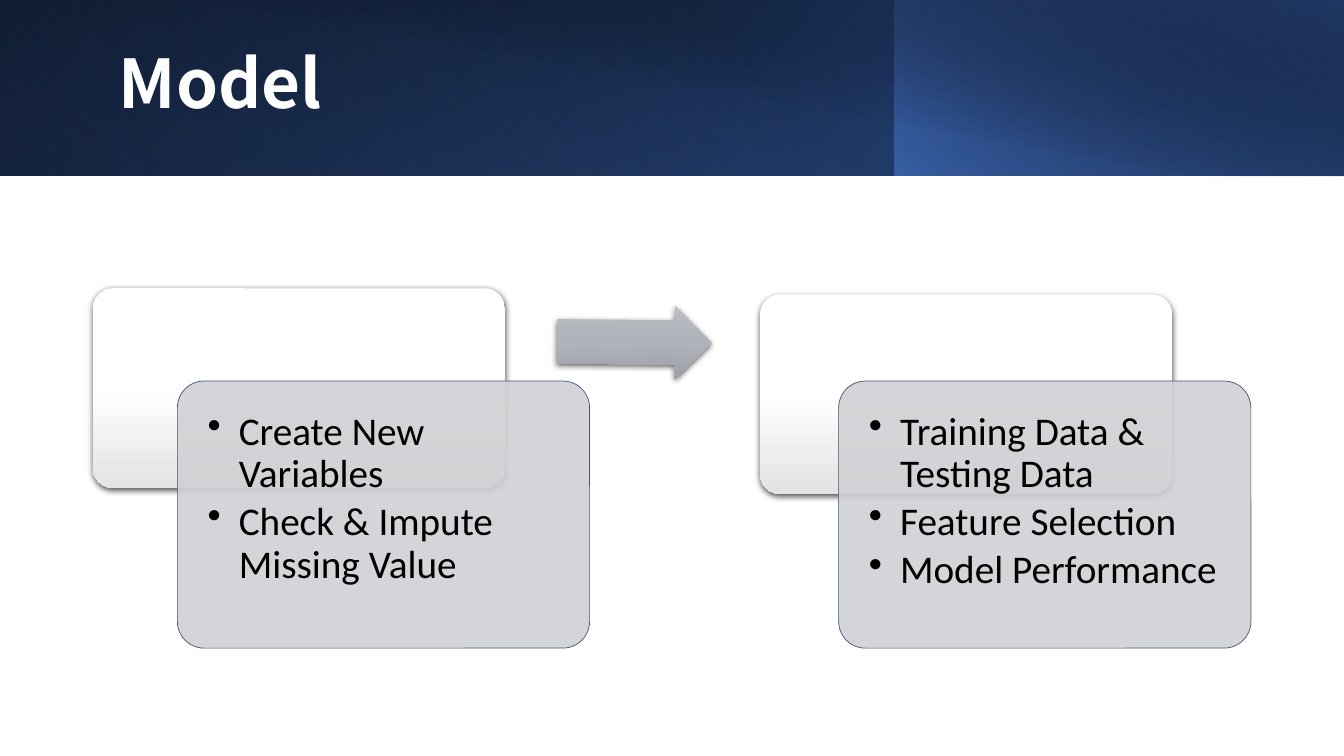
from pptx import Presentation
from pptx.dml.color import RGBColor
from pptx.enum.shapes import MSO_SHAPE
from pptx.enum.text import MSO_ANCHOR
from pptx.oxml import parse_xml
from pptx.oxml.ns import nsdecls, qn
from pptx.util import Inches, Pt

RECT, ROUND, ARROW = (MSO_SHAPE.RECTANGLE, MSO_SHAPE.ROUNDED_RECTANGLE,
                      MSO_SHAPE.RIGHT_ARROW)
TOP, MID = MSO_ANCHOR.TOP, MSO_ANCHOR.MIDDLE
COLS, ROWS = 40, 30
HEX = {"black": "000000", "white": "FFFFFF", "pale": "E3E3E3",
       "royal": "2F5597", "blue": "4472C4", "navy": "203864",
       "panel": "CFD1D4", "slate": "44546A",
       "light": "BABDC2", "mid": "B0B3BA", "dark": "9C9FA6"}
HEAD = {"name": "Noto Sans CJK TC", "size": Pt(48), "bold": True}
BODY = {"name": "Calibri", "size": Pt(28)}
GLOSS = [(0, "white", 100), (50, "white", 100), (100, "pale", 100)]
STEEL = [(0, "light", 100), (50, "mid", 100), (100, "dark", 100)]


def tint(name, alpha):
    return (f'<a:srgbClr {nsdecls("a")} val="{HEX[name]}">'
            f'<a:alpha val="{alpha * 1000}"/></a:srgbClr>')


class Deck:
    def __init__(self):
        self.prs = Presentation()
        self.prs.slide_width, self.prs.slide_height = Inches(13.33), Inches(7.5)
        self.slide = self.prs.slides.add_slide(self.prs.slide_layouts[6])

    def place(self, col, row, wide, high):
        """Turn grid columns and rows into slide lengths."""
        across, down = self.prs.slide_width / COLS, self.prs.slide_height / ROWS
        return (round(col * across), round(row * down),
                round(wide * across), round(high * down))

    def shape(self, kind, box, adjust=()):
        item = self.slide.shapes.add_shape(kind, *self.place(*box))
        item.shadow.inherit = False
        item.line.fill.background()
        for i, value in enumerate(adjust):
            item.adjustments[i] = value
        return item

    def blend(self, kind, box, stops, angle, adjust=(), flip=False, turn=0):
        """Add a shape filled with a gradient of (position, colour, alpha)."""
        item = self.shape(kind, box, adjust)
        item.rotation = turn
        props = item.element.spPr
        if flip:
            props.find(qn("a:xfrm")).set("flipH", "1")
        item.fill.gradient()
        marks = "".join(f'<a:gs pos="{pos * 1000}">{tint(name, alpha)}</a:gs>'
                        for pos, name, alpha in stops)
        props.replace(props.find(qn("a:gradFill")), parse_xml(
            f'<a:gradFill {nsdecls("a")} rotWithShape="1"><a:gsLst>{marks}'
            f'</a:gsLst><a:lin ang="{angle * 60000}" scaled="0"/></a:gradFill>'))
        return item

    def raised(self, kind, box, stops, adjust, turn=0):
        """Add a glossy shape with a soft shadow below it."""
        item = self.blend(kind, box, stops, 90, adjust, turn=turn)
        item.element.spPr.find(qn("a:effectLst")).append(parse_xml(
            f'<a:outerShdw {nsdecls("a")} blurRad="{Pt(4.5)}" dist="{Pt(1.5)}" '
            f'dir="5400000" algn="ctr" rotWithShape="0">{tint("black", 63)}'
            '</a:outerShdw>'))

    def panel(self, box):
        item = self.shape(ROUND, box, [0.1])
        item.fill.solid()
        item.fill.fore_color.rgb = RGBColor.from_string(HEX["panel"])
        fill = item.element.spPr.find(qn("a:solidFill"))
        fill.replace(fill[0], parse_xml(tint("panel", 90)))
        item.line.color.rgb = RGBColor.from_string(HEX["slate"])
        item.line.width = Pt(0.5)

    def text(self, box, lines, style, color, anchor=TOP, inset=None, bullet=False):
        frame = self.slide.shapes.add_textbox(*self.place(*box)).text_frame
        frame.word_wrap = True
        frame.vertical_anchor = anchor
        if inset is not None:
            for side in ("left", "right", "top", "bottom"):
                setattr(frame, f"margin_{side}", Inches(inset))
        for i, line in enumerate(lines):
            para = frame.paragraphs[0] if i == 0 else frame.add_paragraph()
            para.line_spacing = 0.9
            if bullet:
                para.level = 1
                para.space_after = Pt(4.2)
                props = para._p.get_or_add_pPr()
                props.set("marL", str(Inches(0.31)))
                props.set("indent", str(-Inches(0.31)))
                props.append(parse_xml(f'<a:buChar {nsdecls("a")} char="•"/>'))
            run = para.add_run()
            run.text = line
            for key, value in style.items():
                setattr(run.font, key, value)
            run.font.color.rgb = RGBColor.from_string(HEX[color])

    def step(self, back, front, lines):
        """Add a raised card with a bulleted panel overlapping it."""
        self.raised(ROUND, (*back, 12.27, 7.92), GLOSS, [0.1])
        col, row = front
        self.panel((col, row, 12.27, 10.6))
        self.text((col + 0.24, row + 0.32, 11.79, 9.96), lines, BODY, "black",
                  inset=0.22, bullet=True)

    def header(self, title):
        self.blend(RECT, (0, 0, 40, 6.96),
                   [(0, "black", 100), (100, "royal", 100)], 140, flip=True)
        self.blend(RECT, (0, 0, 26.64, 6.96),
                   [(20, "blue", 0), (100, "navy", 55)], 230, flip=True, turn=180)
        self.blend(RECT, (26.61, 0, 13.39, 6.96),
                   [(0, "blue", 66), (100, "black", 30)], 220, flip=True)
        self.blend(RECT, (1.5, 0, 38.5, 7),
                   [(50, "black", 0), (99, "navy", 52)], 280)
        self.text((3.24, 1.2, 32.46, 4.52), [title], HEAD, "white", anchor=MID)


def main():
    deck = Deck()
    deck.header("Model")
    deck.step((2.76, 11.44), (5.28, 15.12),
              ["Create New Variables", "Check & Impute Missing Value"])
    deck.raised(ARROW, (16.59, 12.12, 4.59, 2.92), STEEL, [0.6, 0.5], turn=0.5)
    deck.step((22.62, 11.68), (24.96, 15.12),
              ["Training Data & Testing Data", "Feature Selection",
               "Model Performance"])
    deck.prs.save("out.pptx")


if __name__ == "__main__":
    main()
